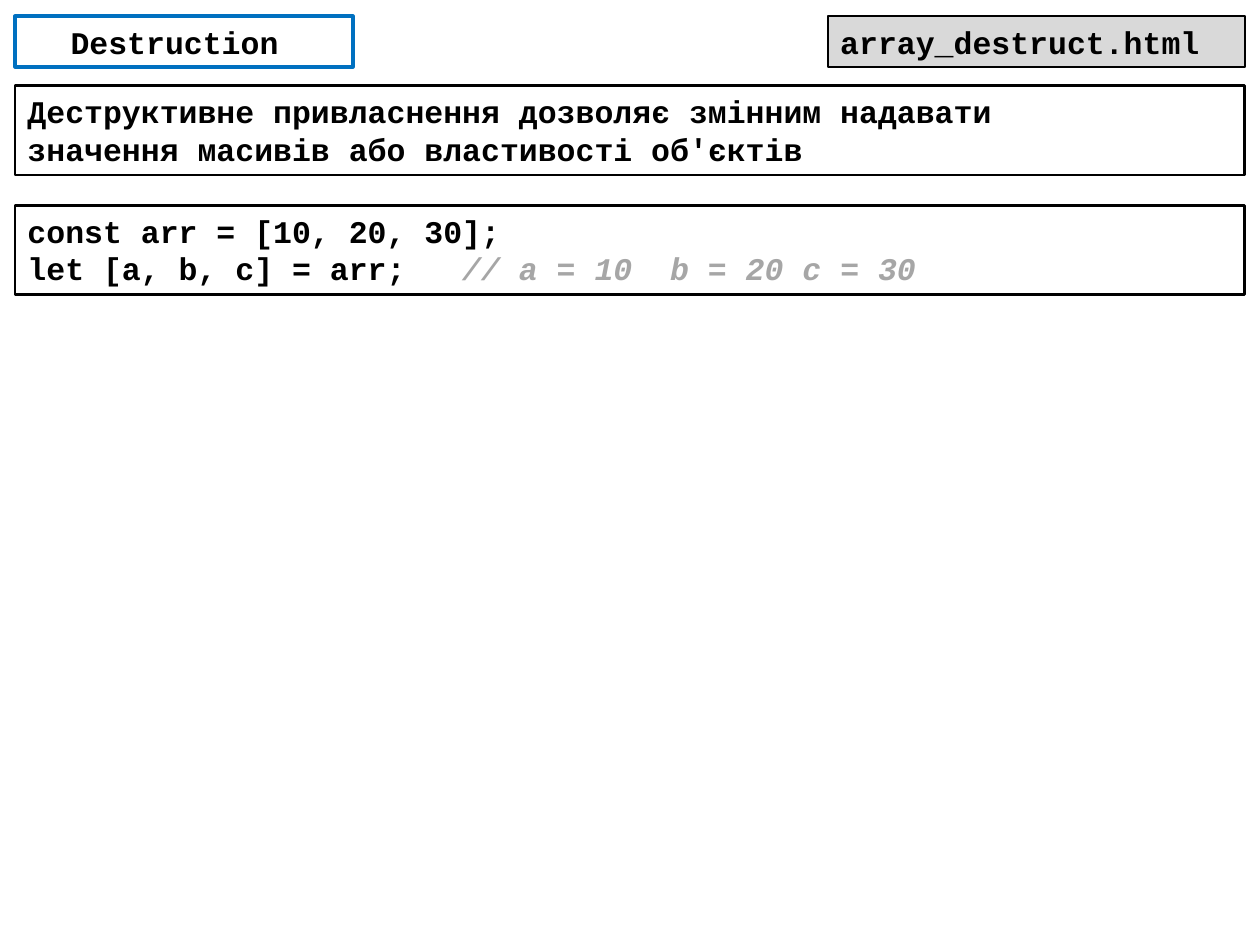
from lxml import etree
from pptx import Presentation
from pptx import util as u
from pptx.dml.color import RGBColor
from pptx.enum import shapes, text
from pptx.oxml.ns import qn

COLORS = {"ink": "000000", "accent": "0070C0", "paper": "FFFFFF",
          "file": "D9D9D9", "comment": "A6A6A6"}
FONT, SIZE = "Courier New", 18
SLIDE_W, SLIDE_H, MARGIN = 720, 540, 8.64
FULL_W = SLIDE_W - 2 * MARGIN
HEADER_TOP, HEADER_H, BODY_H = 9.36, 28.8, 51.12


def color(name):
    return RGBColor.from_string(COLORS[name])


def add_panel(slide, box, lines, border="ink", weight=1.5, fill=None,
              align=text.PP_ALIGN.LEFT):
    """Bordered box; each line is a list of text pieces."""
    panel = slide.shapes.add_shape(shapes.MSO_SHAPE.RECTANGLE,
                                   *(u.Pt(length) for length in box))
    panel.shadow.inherit = False
    if fill:
        panel.fill.solid()
        panel.fill.fore_color.rgb = color(fill)
    else:
        panel.fill.background()
    panel.line.color.rgb = color(border)
    panel.line.width = u.Pt(weight)
    frame = panel.text_frame
    frame.word_wrap = True
    frame.auto_size = text.MSO_AUTO_SIZE.SHAPE_TO_FIT_TEXT
    frame.vertical_anchor = text.MSO_ANCHOR.TOP
    for index, pieces in enumerate(lines):
        paragraph = frame.add_paragraph() if index else frame.paragraphs[0]
        paragraph.alignment = align
        for piece in pieces:
            run = paragraph.add_run()
            run.text = piece
            is_comment = piece.startswith("//")
            run.font.name, run.font.size = FONT, u.Pt(SIZE)
            run.font.bold = True
            run.font.italic = is_comment
            run.font.color.rgb = color("comment" if is_comment else "ink")
    return panel


def add_header(slide, left, top, width, height):
    """Topic on the left, file name flush right."""
    topic = add_panel(slide, (left, top, 192.96, height), [["Destruction "]],
                      "accent", 2.25, "paper", text.PP_ALIGN.CENTER)
    tint = topic.fill._xPr.find(qn("a:solidFill"))[0]
    etree.SubElement(tint, qn("a:alpha"), val="7000")
    file_w = 238.32
    add_panel(slide, (left + width - file_w, top, file_w, height),
              [["array_destruct.html"]], weight=1, fill="file")


def add_definition(slide, *box):
    add_panel(slide, box, [["Деструктивне привласнення дозволяє змінним надавати"],
                           ["значення масивів або властивості об'єктів"]])


def add_code(slide, *box):
    add_panel(slide, box, [["const arr = [10, 20, 30];"],
                           ["let [a, b, c] = arr;   ", "// a = 10  b = 20 c = 30  "]])


prs = Presentation()
prs.slide_width, prs.slide_height = u.Pt(SLIDE_W), u.Pt(SLIDE_H)
slide = prs.slides.add_slide(prs.slide_layouts[6])

add_header(slide, MARGIN, HEADER_TOP, FULL_W, HEADER_H)
add_definition(slide, MARGIN, 48.96, FULL_W, BODY_H)
add_code(slide, MARGIN, 117.36, FULL_W, BODY_H)

prs.save("out.pptx")
